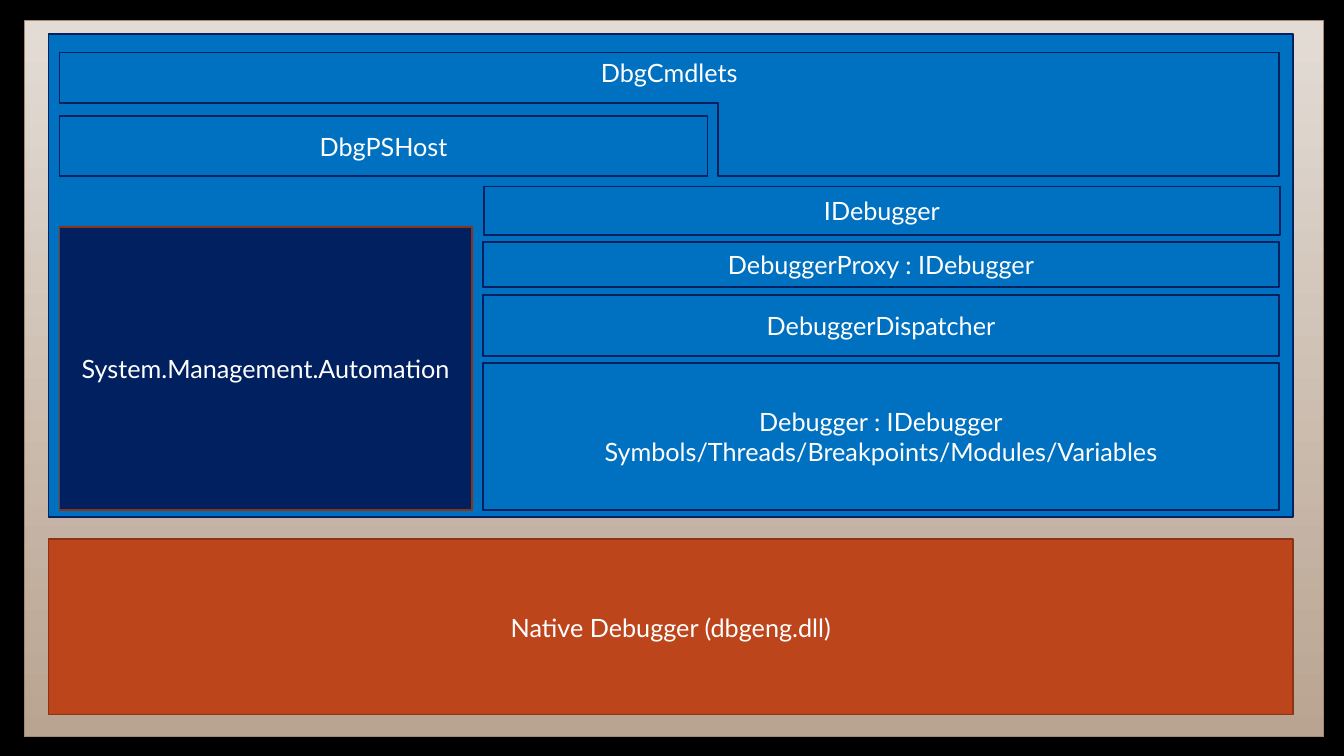
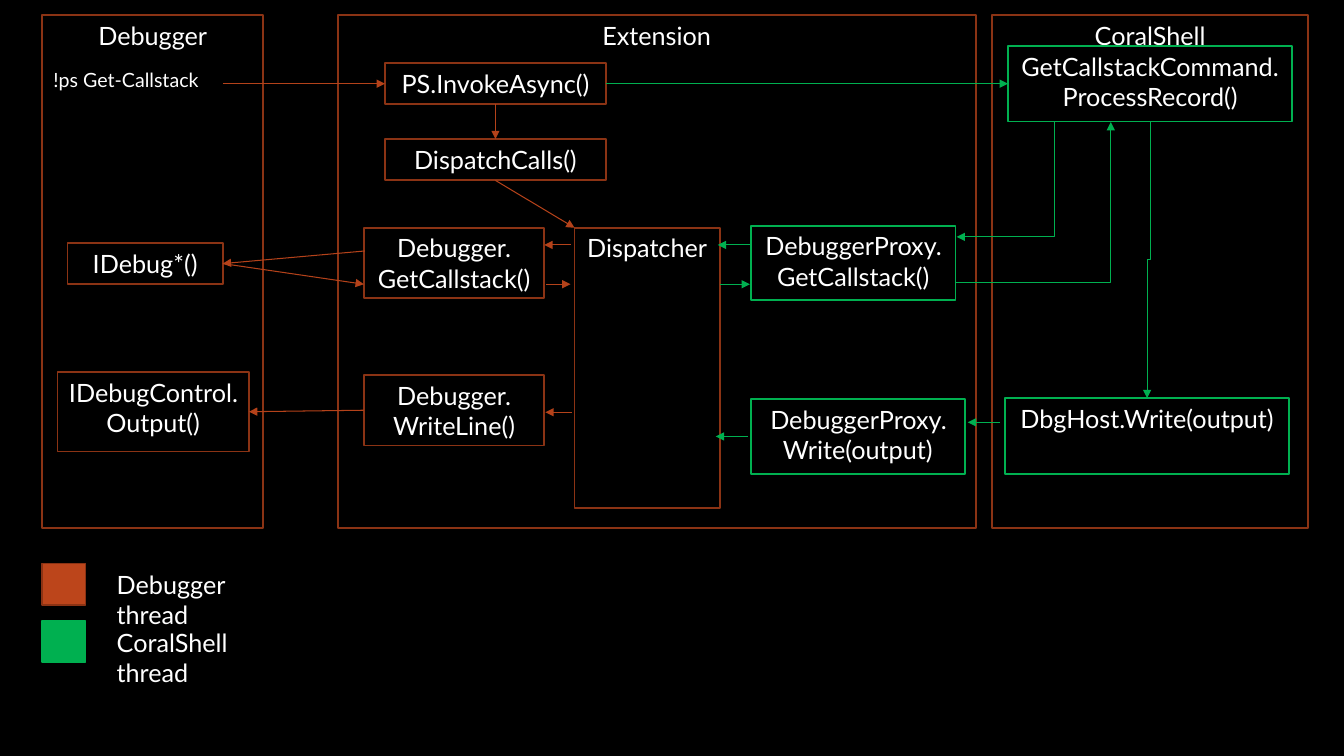
from dataclasses import dataclass

from lxml import etree
from pptx import Presentation
from pptx.dml.color import RGBColor
from pptx.enum.shapes import MSO_CONNECTOR, MSO_SHAPE
from pptx.enum.text import MSO_ANCHOR, PP_ALIGN
from pptx.oxml.ns import qn
from pptx.util import Inches, Pt

RECT = MSO_SHAPE.RECTANGLE
LINE, BENT = MSO_CONNECTOR.STRAIGHT, MSO_CONNECTOR.ELBOW
TOP, MID = MSO_ANCHOR.TOP, MSO_ANCHOR.MIDDLE
LEFT, MIDST = PP_ALIGN.LEFT, PP_ALIGN.CENTER
UP, WEST, DOWN, EAST = range(4)  # connection sites of a rectangle

FONT = "Lato"
SHELL = "CoralShell"
CELL = 0.1  # one grid column or row, in inches
COLS, ROWS = 133.33, 75
HUES = {
    "back": "000000", "text": "FFFFFF", "blue": "0070C0", "navy": "002060",
    "rust": "BC451B", "edge": "8B3314", "arrow": "B4421A", "green": "00B050",
    "sand": "E3DCD5", "clay": "B9A491", "rim": "A58B72",
}


@dataclass
class Box:
    x: float
    y: float
    w: float
    h: float
    text: str = ""
    fill: str = ""
    line: str = "edge"
    width: float = 1.25


@dataclass
class Link:
    start: tuple  # (column, row) or (box name, side)
    end: tuple
    hue: str = "arrow"


@dataclass
class Elbow:
    start: tuple
    end: tuple
    bend: float  # share of the drop where the line turns
    hue: str = "green"


def grid(n: float) -> int:
    return Inches(n * CELL)


def rgb(hue: str) -> RGBColor:
    return RGBColor.from_string(HUES[hue])


def write(shape, text: str, *, size: int = 18, hue: str = "text",
          align=MIDST, anchor=TOP) -> None:
    frame = shape.text_frame
    frame.word_wrap = True
    frame.vertical_anchor = anchor
    frame.text = text
    for para in frame.paragraphs:
        para.alignment = align
        para.font.size = Pt(size)
        for run in para.runs:
            run.font.size = Pt(size)
            run.font.name = FONT
            run.font.color.rgb = rgb(hue)


def paint(shape, fill: str, line: str, width: float = 1.25) -> None:
    shape.shadow.inherit = False
    if fill:
        shape.fill.solid()
        shape.fill.fore_color.rgb = rgb(fill)
    else:
        shape.fill.background()
    shape.line.color.rgb = rgb(line)
    shape.line.width = Pt(width)


def block(slide, box: Box, anchor=TOP):
    shape = slide.shapes.add_shape(RECT, *map(grid, (box.x, box.y, box.w, box.h)))
    paint(shape, box.fill, box.line, box.width)
    if box.text:
        write(shape, box.text, anchor=anchor)
    return shape


def label(slide, x: float, y: float, w: float, h: float, text: str, size: int = 18) -> None:
    write(slide.shapes.add_textbox(*map(grid, (x, y, w, h))), text, size=size, align=LEFT)


def style(wire, hue: str) -> None:
    wire.line.color.rgb = rgb(hue)
    wire.line.width = Pt(0.75)
    props = wire._element.spPr
    etree.SubElement(props.find(qn("a:ln")), qn("a:tailEnd"), type="triangle")
    etree.SubElement(props, qn("a:effectLst"))


def join(slide, link: Link, nodes: dict) -> None:
    wire = slide.shapes.add_connector(LINE, 0, 0, 0, 0)
    (a, b), (c, d) = link.start, link.end
    if isinstance(a, str):
        wire.begin_connect(nodes[a], b)
    else:
        wire.begin_x, wire.begin_y = grid(a), grid(b)
    if isinstance(c, str):
        wire.end_connect(nodes[c], d)
    else:
        wire.end_x, wire.end_y = grid(c), grid(d)
    style(wire, link.hue)


def turn(slide, elbow: Elbow) -> None:
    """Draw an elbow that leaves vertically: a level one turned by 90 degrees."""
    (a, b), (c, d) = elbow.start, elbow.end
    x, y = (a + c) / 2, (b + d) / 2
    dx, dy = (c - a) / 2, (d - b) / 2
    wire = slide.shapes.add_connector(BENT, *map(grid, (x - dy, y + dx, x + dy, y - dx)))
    props = wire._element.spPr
    props.find(qn("a:xfrm")).set("rot", "5400000")
    geom = props.find(qn("a:prstGeom"))
    marks = geom.find(qn("a:avLst"))
    if marks is None:
        marks = etree.SubElement(geom, qn("a:avLst"))
    etree.SubElement(marks, qn("a:gd"), name="adj1", fmla=f"val {round(elbow.bend * 100000)}")
    style(wire, elbow.hue)


def page(deck):
    slide = deck.slides.add_slide(deck.slide_layouts[6])
    slide.background.fill.solid()
    slide.background.fill.fore_color.rgb = rgb("back")
    return slide


def layers(deck) -> None:
    slide = page(deck)

    # Sand backdrop
    base = block(slide, Box(2.4, 2, 128.9, 71.1, line="rim", width=0.75))
    base.fill.gradient()
    base.fill.gradient_angle = 270
    for stop, hue, spot in zip(base.fill.gradient_stops, ("sand", "clay"), (0, 1)):
        stop.color.rgb = rgb(hue)
        stop.position = spot

    # Native layer, managed layer and its parts
    left, right, wide = 5.9, 47.9, 79
    stack = [
        (right, 24, wide, 4.5, "DebuggerProxy : IDebugger"),
        (right, 29.3, wide, 6, "DebuggerDispatcher"),
        (right, 36, wide, 14.6,
         "Debugger : IDebugger\vSymbols/Threads/Breakpoints/Modules/Variables"),
        (right + 0.1, 18.5, wide, 4.8, "IDebugger"),
    ]
    parts = [
        Box(4.8, 53.5, 123.5, 17.4, "Native Debugger (dbgeng.dll)", "rust"),
        Box(4.8, 3.4, 123.5, 47.9, "", "blue", "navy"),
        Box(left, 11.5, 64.3, 6, "DbgPSHost", "blue", "navy"),
        Box(left, 22.5, 40.9, 28.1, "System.Management.Automation", "navy"),
        *(Box(*row, "blue", "navy") for row in stack),
    ]
    for part in parts:
        block(slide, part, MID)

    # Stepped command layer
    far, step, top, knee, foot = 126.9, 71.2, 5.2, 10.2, 17.5
    pen = slide.shapes.build_freeform(grid(left), grid(top))
    spots = [(far, top), (far, foot), (step, foot), (step, knee), (left, knee)]
    pen.add_line_segments([(grid(x), grid(y)) for x, y in spots], close=True)
    shape = pen.convert_to_shape()
    paint(shape, "blue", "navy")
    write(shape, "DbgCmdlets")


def calls(deck) -> None:
    slide = page(deck)

    # Columns, one per program
    for x, w, name in ((4.2, 21.9, "Debugger"), (33.5, 63.3, "Extension"),
                       (98.4, 31.4, SHELL)):
        block(slide, Box(x, 1.5, w, 50.9, name))
    label(slide, 4.3, 6.2, 19.8, 3.4, "!ps Get-Callstack", 14)

    # Call boxes
    boxes = {
        "invoke": Box(38.2, 6.25, 21.9, 4.1, "PS.InvokeAsync()"),
        "loop": Box(38.2, 13.8, 21.9, 4.1, "DispatchCalls()"),
        "stack": Box(36.1, 22.6, 17.9, 7, "Debugger.\nGetCallstack()"),
        "print": Box(36.1, 37.2, 17.9, 7, "Debugger.\nWriteLine()"),
        "hub": Box(57, 22.6, 14.4, 27.8, "Dispatcher"),
        "debug": Box(6.7, 24.1, 15.4, 4.1, "IDebug*()"),
        "out": Box(5.7, 36.9, 19, 7.9, "IDebugControl.Output()"),
        "record": Box(100, 4.55, 28.2, 7.5, "GetCallstackCommand.ProcessRecord()", line="green"),
        "proxy": Box(74.5, 22.4, 20.3, 7.4, "DebuggerProxy.GetCallstack()", line="green"),
        "send": Box(74.5, 39.6, 21.2, 7.4, "DebuggerProxy.Write(output)", line="green"),
        "host": Box(99.7, 39.5, 28.2, 7.5, "DbgHost.Write(output)", line="green"),
    }
    nodes = {name: block(slide, box) for name, box in boxes.items()}

    # Arrows
    links = [
        Link((22.1, 8.3), ("invoke", WEST)),
        Link(("invoke", DOWN), ("loop", UP)),
        Link(("loop", DOWN), (57, 22.6)),
        Link((56.6, 24.3), (54, 24.3)),
        Link((36.2, 24.9), ("debug", EAST)),
        Link(("debug", EAST), (36.1, 28.2)),
        Link((54.2, 28.2), (56.6, 28.2)),
        Link(("print", WEST), ("out", EAST)),
        Link((56.7, 40.9), (54.1, 40.9)),
        Link(("invoke", EAST), ("record", WEST), "green"),
        Link((74.4, 24.3), (71.2, 24.3), "green"),
        Link((71.4, 28.2), (74.4, 28.2), "green"),
        Link((99.2, 41.9), (96, 41.9), "green"),
        Link((74.2, 43.3), (71, 43.3), "green"),
    ]
    for link in links:
        join(slide, link, nodes)
    for elbow in (Elbow((104.6, 12.1), (94.9, 23.5), 1),
                  Elbow((114.1, 12.1), (113.8, 39.5), 0.5),
                  Elbow((94.8, 28.2), (110.2, 12.1), 0.01)):
        turn(slide, elbow)

    # Legend
    for i, (name, fill, line) in enumerate((("Debugger", "rust", "edge"),
                                            (SHELL, "green", "green"))):
        y = 55.9 + 5.7 * i
        block(slide, Box(4.2, y, 4.3, 4.1, "", fill, line))
        label(slide, 10.6, y + 0.1, 15, 4, f"{name} thread")


def main() -> None:
    deck = Presentation()
    deck.slide_width, deck.slide_height = grid(COLS), grid(ROWS)
    layers(deck)
    calls(deck)
    deck.save("out.pptx")


if __name__ == "__main__":
    main()
